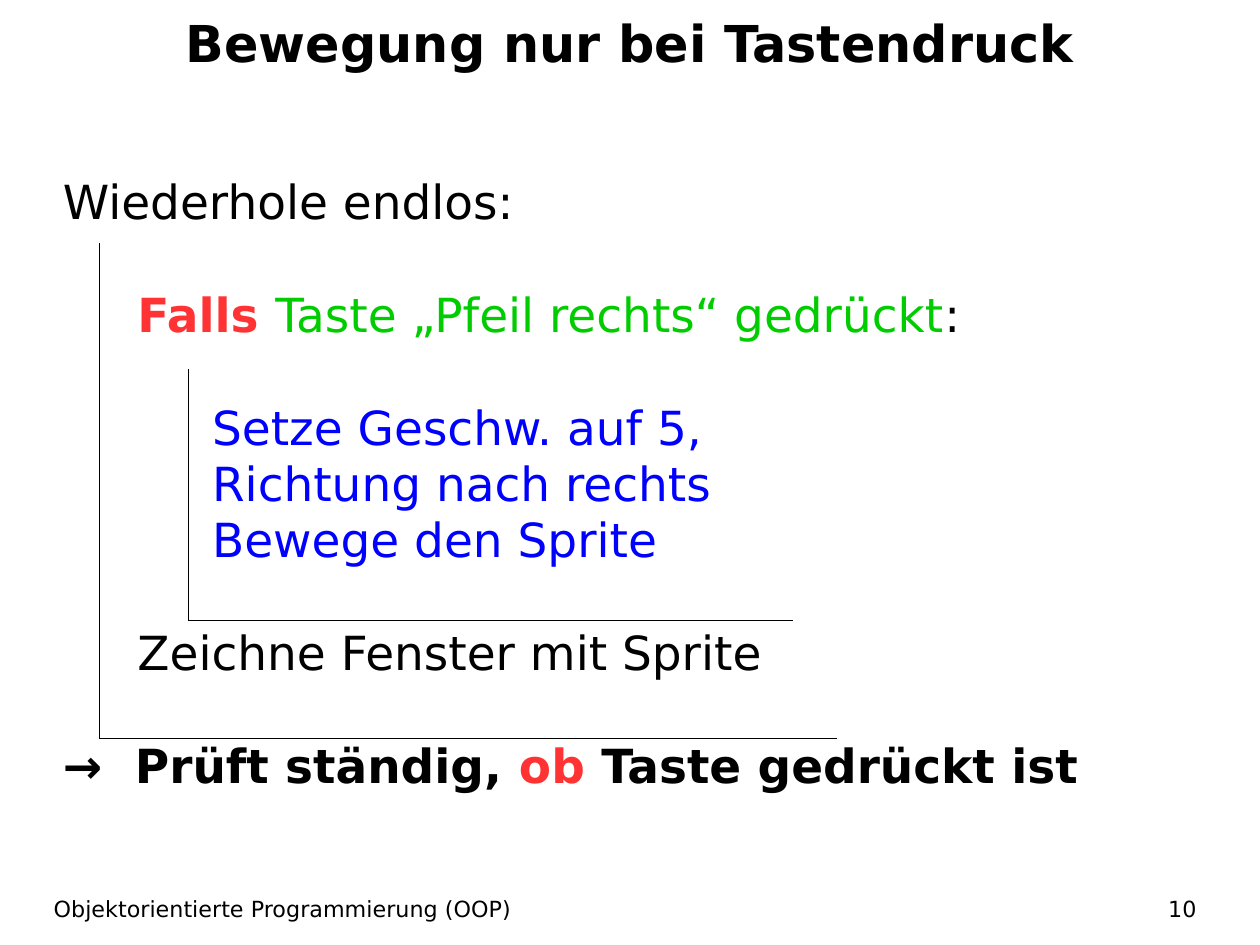
from collections import namedtuple
from dataclasses import dataclass

from lxml import etree
from pptx import Presentation, util as u
from pptx.dml import color
from pptx.enum import shapes, text
from pptx.oxml import ns

Box = namedtuple("Box", "left top width height")
Line = namedtuple("Line", "level gap runs")


@dataclass(frozen=True)
class Theme:
    font: str = "DejaVu Sans"
    black: str = "000000"
    red: str = "FF3333"
    green: str = "00CC00"
    blue: str = "0000FF"
    title_size: float = 32
    body_size: float = 29.6
    footer_size: float = 14
    line_pitch: float = 35.5
    indent: float = 47
    arrow_indent: float = 45.4
    hairline: float = 0.01


THEME = Theme()
SLIDE_WIDTH, SLIDE_HEIGHT = 793.7, 595.28
ALGORITHM = [
    Line(0, False, [("Wiederhole endlos:", THEME.black, False)]),
    Line(1, True, [("Falls ", THEME.red, True),
                   ("Taste „Pfeil rechts“ gedrückt", THEME.green, False),
                   (":", THEME.black, False)]),
    Line(2, True, [("Setze Geschw. auf 5,", THEME.blue, False)]),
    Line(2, False, [("Richtung nach rechts", THEME.blue, False)]),
    Line(2, False, [("Bewege den Sprite", THEME.blue, False)]),
    Line(1, True, [("Zeichne Fenster mit Sprite", THEME.black, False)]),
    Line(0, True, [("→\tPrüft ständig, ", THEME.black, True),
                   ("ob", THEME.red, True),
                   (" Taste gedrückt ist", THEME.black, True)]),
]


def place(shape, box):
    shape.left, shape.top, shape.width, shape.height = map(u.Pt, box)


def prepare_frame(shape, anchor):
    frame = shape.text_frame
    frame.word_wrap = True
    frame.auto_size = text.MSO_AUTO_SIZE.NONE
    frame.vertical_anchor = anchor
    frame.margin_left = frame.margin_right = 0
    frame.margin_top = frame.margin_bottom = 0
    return frame


def format_run(run, size, colour, bold):
    run.font.name = THEME.font
    run.font.size = u.Pt(size)
    run.font.bold = bold
    run.font.color.rgb = color.RGBColor.from_string(colour)


def fill_single_line(shape, wording, size, alignment, bold=False):
    frame = prepare_frame(shape, text.MSO_ANCHOR.MIDDLE)
    frame.text = wording
    paragraph = frame.paragraphs[0]
    paragraph.alignment = alignment
    format_run(paragraph.runs[0], size, THEME.black, bold)


def add_title(slide, box):
    title = slide.shapes.title
    place(title, box)
    fill_single_line(title, "Bewegung nur bei Tastendruck", THEME.title_size,
                     text.PP_ALIGN.CENTER, True)


def set_tab(paragraph, position):
    properties = paragraph._p.get_or_add_pPr()
    tabs = etree.SubElement(properties, ns.qn("a:tabLst"))
    etree.SubElement(tabs, ns.qn("a:tab"), pos=str(u.Pt(position)), algn="l")


def add_algorithm(slide, box):
    shape = slide.shapes.add_textbox(*map(u.Pt, box))
    frame = prepare_frame(shape, text.MSO_ANCHOR.TOP)
    for index, line in enumerate(ALGORITHM):
        paragraph = frame.add_paragraph() if index else frame.paragraphs[0]
        paragraph.line_spacing = u.Pt(THEME.line_pitch)
        if line.gap:
            paragraph.space_before = u.Pt(THEME.line_pitch)
        if line.level:
            properties = paragraph._p.get_or_add_pPr()
            properties.set("marL", str(u.Pt(line.level * THEME.indent)))
        if "\t" in line.runs[0][0]:
            set_tab(paragraph, THEME.arrow_indent)
        for wording, colour, bold in line.runs:
            run = paragraph.add_run()
            run.text = wording
            format_run(run, THEME.body_size, colour, bold)


def add_bracket(slide, box):
    bottom = box.top + box.height
    corners = [(box.left, box.top), (box.left, bottom), (box.left + box.width, bottom)]
    for start, end in zip(corners, corners[1:]):
        edge = slide.shapes.add_connector(
            shapes.MSO_CONNECTOR.STRAIGHT, *map(u.Pt, start + end))
        edge.line.color.rgb = color.RGBColor.from_string(THEME.black)
        edge.line.width = u.Pt(THEME.hairline)
        etree.SubElement(edge._element.spPr, ns.qn("a:effectLst"))


def add_footer(slide, box):
    number_width = 185
    name_box = box._replace(width=489)
    number_box = box._replace(left=box.left + box.width - number_width,
                              width=number_width)
    for part, wording, alignment in (
            (name_box, "Objektorientierte Programmierung (OOP)", text.PP_ALIGN.LEFT),
            (number_box, "10", text.PP_ALIGN.RIGHT)):
        shape = slide.shapes.add_textbox(*map(u.Pt, part))
        fill_single_line(shape, wording, THEME.footer_size, alignment)


def main():
    presentation = Presentation()
    presentation.slide_width = u.Pt(SLIDE_WIDTH)
    presentation.slide_height = u.Pt(SLIDE_HEIGHT)
    slide = presentation.slides.add_slide(presentation.slide_layouts[5])
    add_title(slide, Box(0, 2.5, SLIDE_WIDTH, 48.2))
    add_algorithm(slide, Box(39.6, 109, 714.2, 435.3))
    add_bracket(slide, Box(62.6, 153.2, 464.4, 311.8))
    add_bracket(slide, Box(118.8, 232.5, 380.2, 158.5))
    add_footer(slide, Box(33.8, 561.2, 720, 22.3))
    presentation.save("out.pptx")


if __name__ == "__main__":
    main()
